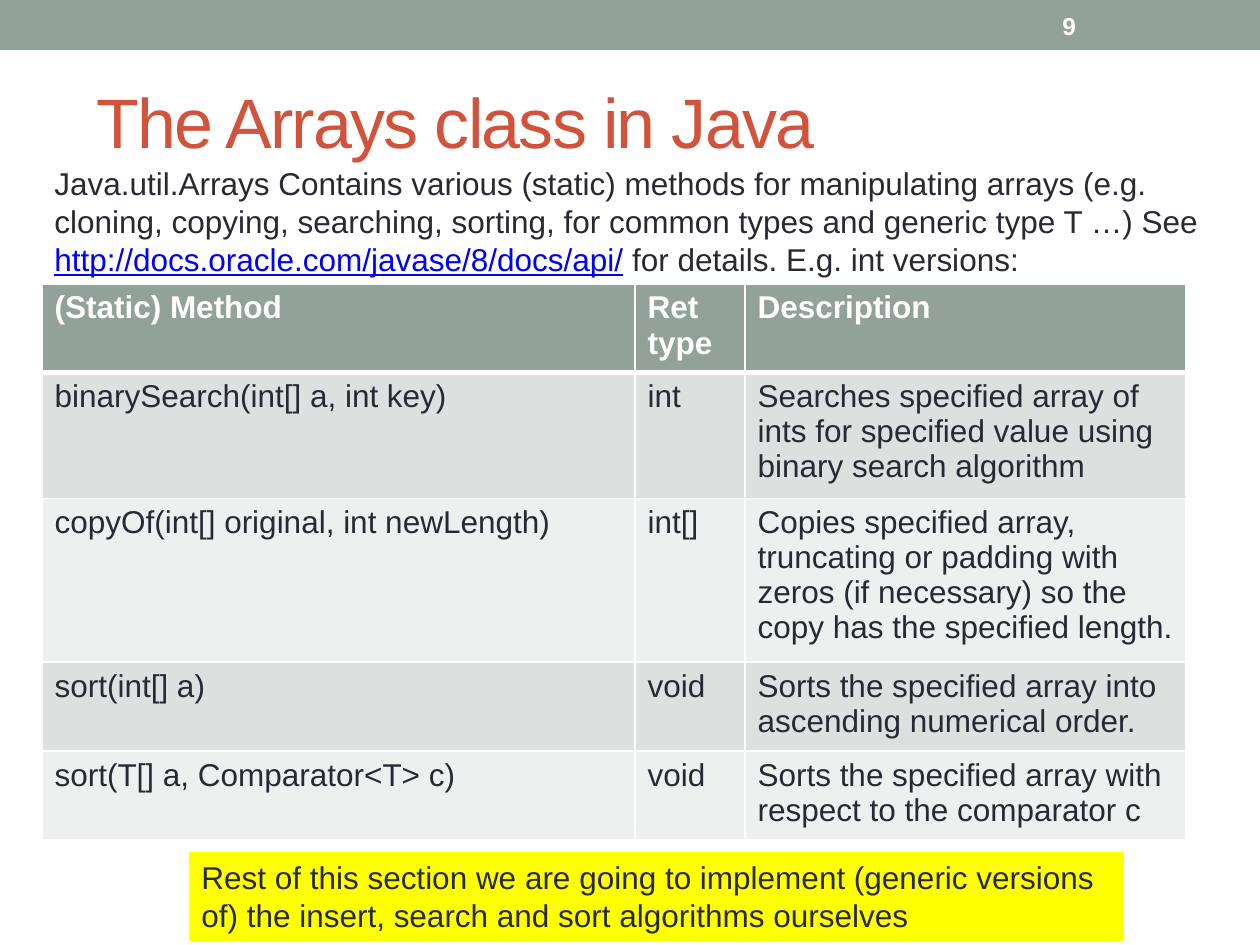
from dataclasses import dataclass

from lxml.etree import SubElement
from pptx import Presentation
from pptx.dml.color import RGBColor
from pptx.enum.shapes import MSO_SHAPE
from pptx.enum.text import MSO_ANCHOR
from pptx.oxml.ns import qn
from pptx.util import Emu, Pt

PIXELS_PER_INCH = 126
COLORS = {
    "sage": "93A299",
    "rust": "D2533C",
    "ink": "292934",
    "white": "FFFFFF",
    "link": "0000FF",
    "band_dark": "DCE0DE",
    "band_light": "EEF0EF",
    "yellow": "FFFF00",
}


@dataclass(frozen=True)
class Area:
    left: int
    top: int
    width: int
    height: int


@dataclass(frozen=True)
class Style:
    size: int = 18
    color: str = "ink"
    bold: bool = False
    underline: bool = False
    spacing: int = 0


@dataclass(frozen=True)
class Method:
    signature: str
    returns: str
    description: str
    height: int


BODY = Style()
HEADER = Style(color="white", bold=True)
LINK = Style(color="link", underline=True)
COLUMN_WIDTHS = (593, 110, 441)
METHODS = (
    Method("(Static) Method", "Ret type", "Description", 88),
    Method("binarySearch(int[] a, int key)", "int",
           "Searches specified array of ints for specified value using binary search algorithm", 126),
    Method("copyOf(int[] original, int newLength)", "int[]",
           "Copies specified array, truncating or padding with zeros (if necessary) "
           "so the copy has the specified length.", 163),
    Method("sort(int[] a)", "void",
           "Sorts the specified array into ascending numerical order.", 89),
    Method("sort(T[] a, Comparator<T> c)", "void",
           "Sorts the specified array with respect to the comparator c", 88),
)


def px(value: int) -> Emu:
    return Emu(round(value * 914400 / PIXELS_PER_INCH))


def place(area: Area) -> tuple:
    return px(area.left), px(area.top), px(area.width), px(area.height)


def color(name: str) -> RGBColor:
    return RGBColor.from_string(COLORS[name])


def format_span(span, style: Style) -> None:
    span.font.name = "Arial"
    span.font.size = Pt(style.size)
    span.font.bold = style.bold
    span.font.underline = style.underline
    span.font.color.rgb = color(style.color)
    if style.spacing:
        span.font._element.set("spc", str(style.spacing))


def write(frame, text: str, style: Style) -> None:
    frame.text = text
    for para in frame.paragraphs:
        for span in para.runs:
            format_span(span, style)


def add_text(page, area: Area, text: str, style: Style, anchor=MSO_ANCHOR.TOP):
    frame = page.shapes.add_textbox(*place(area)).text_frame
    frame.word_wrap = True
    frame.vertical_anchor = anchor
    write(frame, text, style)
    return frame


def add_rectangle(page, area: Area, fill: str):
    shape = page.shapes.add_shape(MSO_SHAPE.RECTANGLE, *place(area))
    shape.shadow.inherit = False
    shape.fill.solid()
    shape.fill.fore_color.rgb = color(fill)
    shape.line.fill.background()
    return shape


def add_borders(cell, widths: dict[str, int]) -> None:
    properties = cell._tc.get_or_add_tcPr()
    for side, width in widths.items():
        line = SubElement(properties, qn(f"a:ln{side}"), w=str(Pt(width)))
        fill = SubElement(line, qn("a:solidFill"))
        SubElement(fill, qn("a:srgbClr"), val=COLORS["white"])


def add_method_table(page, area: Area) -> None:
    table = page.shapes.add_table(len(METHODS), len(COLUMN_WIDTHS), *place(area)).table
    for column, width in zip(table.columns, COLUMN_WIDTHS):
        column.width = px(width)
    for index, method in enumerate(METHODS):
        table.rows[index].height = px(method.height)
        is_header = index == 0
        fill = "sage" if is_header else ("band_light", "band_dark")[index % 2]
        borders = {"L": 1, "R": 1, "T": 3 if index == 1 else 1, "B": 3 if is_header else 1}
        texts = (method.signature, method.returns, method.description)
        for cell, text in zip(table.rows[index].cells, texts):
            add_borders(cell, borders)
            cell.fill.solid()
            cell.fill.fore_color.rgb = color(fill)
            write(cell.text_frame, text, HEADER if is_header else BODY)


def main() -> None:
    deck = Presentation()
    deck.slide_width, deck.slide_height = px(1260), px(945)
    page = deck.slides.add_slide(deck.slide_layouts[6])

    add_rectangle(page, Area(0, 0, 1260, 50), "sage")
    add_text(page, Area(84, 53, 1134, 136), "The Arrays class in Java",
             Style(size=40, color="rust", spacing=-100), MSO_ANCHOR.MIDDLE)
    add_text(page, Area(1050, 3, 147, 45), "9",
             Style(size=14, color="white", bold=True), MSO_ANCHOR.MIDDLE)

    intro = add_text(
        page, Area(42, 158, 1176, 624),
        "Java.util.Arrays Contains various (static) methods for manipulating arrays "
        "(e.g. cloning, copying, searching, sorting, for common types and generic type T …) See ",
        BODY)
    for text, style in (("http://docs.oracle.com/javase/8/docs/api/", LINK),
                        (" for details. E.g. int versions:", BODY)):
        span = intro.paragraphs[0].add_run()
        span.text = text
        format_span(span, style)

    add_method_table(page, Area(42, 284, sum(COLUMN_WIDTHS),
                                sum(method.height for method in METHODS)))

    note = add_rectangle(page, Area(189, 852, 935, 89), "yellow").text_frame
    note.word_wrap = True
    note.vertical_anchor = MSO_ANCHOR.TOP
    write(note, "Rest of this section we are going to implement (generic versions of) "
                "the insert, search and sort algorithms ourselves", BODY)
    note.paragraphs[0].alignment = 1

    deck.save("out.pptx")


if __name__ == "__main__":
    main()
